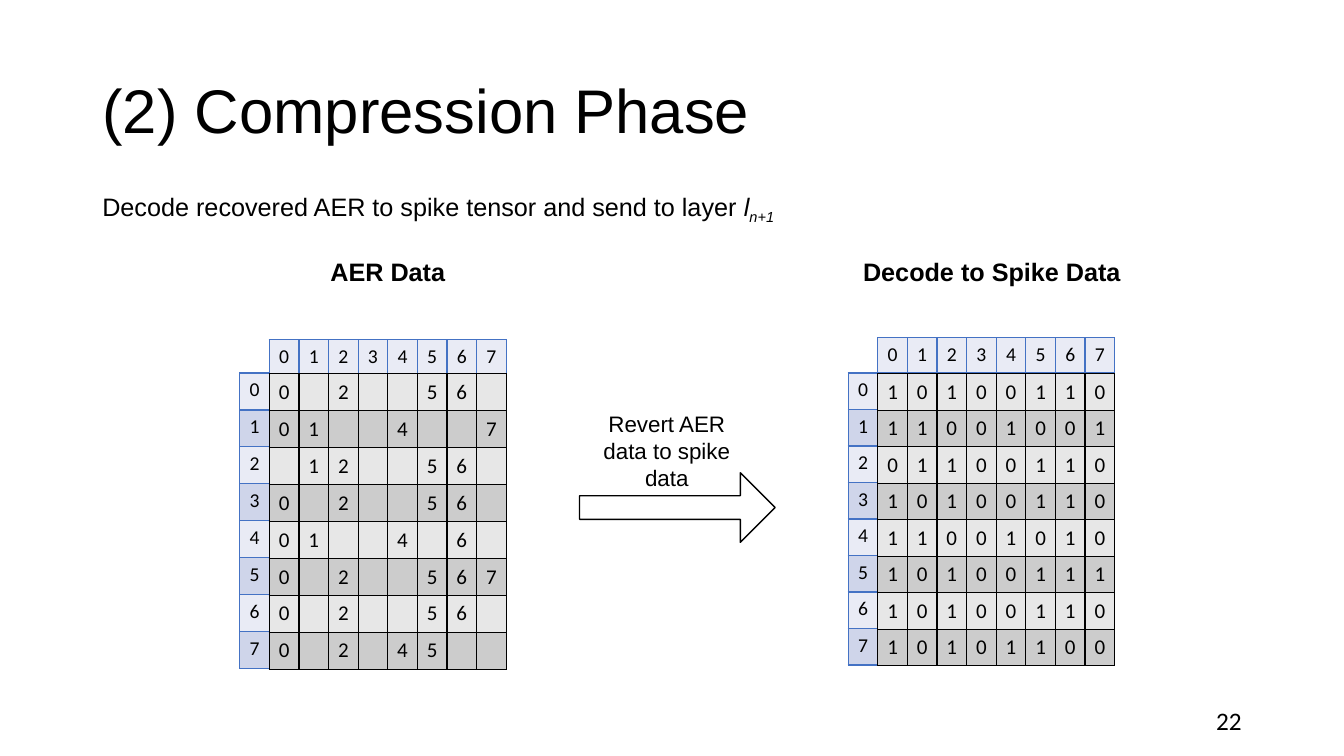
from lxml.etree import SubElement
from pptx import Presentation
from pptx.dml.color import RGBColor
from pptx.enum.shapes import MSO_SHAPE as Shape
from pptx.enum.text import MSO_ANCHOR as Anchor, MSO_AUTO_SIZE as AutoSize, PP_ALIGN as Align
from pptx.oxml.ns import qn
from pptx.util import Pt

BLACK, BLUE = "000000", "4472C4"
GREY_BANDS = ("E7E7E7", "CCCCCC")
BLUE_BANDS = ("E9EBF5", "CFD5EA")
COLUMN = 21.15
NEURONS = range(8)
# Indices of the neurons that spike, one tuple per row
EVENTS = [(0, 2, 5, 6), (0, 1, 4, 7), (1, 2, 5, 6), (0, 2, 5, 6),
          (0, 1, 4, 6), (0, 2, 5, 6, 7), (0, 2, 5, 6), (0, 2, 4, 5)]


def color(value):
    return RGBColor.from_string(value)


def apply(target, values):
    for name, value in values.items():
        setattr(target, name, value)


def add_run(paragraph, text, size, name="Arial", baseline=None, **values):
    run = paragraph.add_run()
    run.text = text
    apply(run.font, {"size": Pt(size), "name": name, **values})
    run.font.color.rgb = color(BLACK)
    if baseline:
        run.font._element.set("baseline", str(baseline))


def add_text(slide, box, text, size, align=Align.LEFT, wrap=False, anchor=Anchor.TOP, **values):
    """Add a text box with one run and return its paragraph."""
    frame = slide.shapes.add_textbox(*map(Pt, box)).text_frame
    apply(frame, {"word_wrap": wrap, "auto_size": AutoSize.SHAPE_TO_FIT_TEXT,
                  "vertical_anchor": anchor})
    paragraph = frame.paragraphs[0]
    paragraph.alignment = align
    add_run(paragraph, text, size, **values)
    return paragraph


def add_title(slide, text):
    title = slide.shapes.title
    apply(title, {"left": Pt(66), "top": Pt(28.75), "width": Pt(828), "height": Pt(104.4)})
    apply(title.text_frame, {"vertical_anchor": Anchor.MIDDLE, "auto_size": AutoSize.NONE})
    paragraph = title.text_frame.paragraphs[0]
    apply(paragraph, {"alignment": Align.LEFT, "line_spacing": 0.9})
    add_run(paragraph, text, 44)


def add_borders(cell, line_color):
    properties = cell._tc.get_or_add_tcPr()
    for side in ("lnL", "lnR", "lnT", "lnB"):
        line = SubElement(properties, qn(f"a:{side}"), w=str(Pt(1)))
        fill = SubElement(line, qn("a:solidFill"))
        SubElement(fill, qn("a:srgbClr"), val=line_color)


def add_grid(slide, left, top, row_height, rows, bands, line_color, size, **cell_values):
    """Add a table of narrow cells whose rows alternate between two fills."""
    count = len(rows[0])
    box = (left, top, COLUMN * count, row_height * len(rows))
    table = slide.shapes.add_table(len(rows), count, *map(Pt, box)).table
    apply(table, {"first_row": False, "horz_banding": False})
    for column in table.columns:
        column.width = Pt(COLUMN)
    for index, row in enumerate(rows):
        table.rows[index].height = Pt(row_height)
        for cell, text in zip(table.rows[index].cells, row):
            apply(cell, {"margin_left": 0, "margin_right": 0, "margin_bottom": 0, **cell_values})
            add_borders(cell, line_color)
            cell.fill.solid()
            cell.fill.fore_color.rgb = color(bands[index % 2])
            if text:
                paragraph = cell.text_frame.paragraphs[0]
                paragraph.alignment = Align.CENTER
                add_run(paragraph, text, size, "Calibri")


def add_matrix(slide, left, header_top, header_height, row_height, rows):
    """Add a grid of values with numbered columns above and numbered rows at the left."""
    labels = [str(number) for number in NEURONS]
    label_style = (BLUE_BANDS, BLUE, 14)
    add_grid(slide, left, header_top, header_height, [labels], *label_style)
    add_grid(slide, left - COLUMN, 266.4, row_height, [[label] for label in labels], *label_style)
    add_grid(slide, left, 266.9, row_height, rows, GREY_BANDS, BLACK, 15,
             margin_top=0, vertical_anchor=Anchor.MIDDLE)


def add_arrow(slide, box):
    arrow = slide.shapes.add_shape(Shape.RIGHT_ARROW, *map(Pt, box))
    arrow.adjustments[0] = 0.34
    arrow.shadow.inherit = False
    arrow.fill.background()
    arrow.line.color.rgb = color(BLACK)
    arrow.line.width = Pt(1)


def main():
    presentation = Presentation()
    apply(presentation, {"slide_width": Pt(960), "slide_height": Pt(540)})
    slide = presentation.slides.add_slide(presentation.slide_layouts[5])

    add_title(slide, "(2) Compression Phase")
    summary = add_text(slide, (66, 133.2, 502, 29),
                       "Decode recovered AER to spike tensor and send to layer ", 18)
    add_run(summary, "l", 18, italic=True)
    add_run(summary, "n+1", 18, italic=True, baseline=-25000)

    for heading, left, width in (("AER Data", 228.5, 97), ("Decode to Spike Data", 608.5, 200)):
        add_text(slide, (left, 179.3, width, 29), heading, 18, Align.CENTER, bold=True)

    add_arrow(slide, (414, 337.7, 139.7, 49.7))
    add_text(slide, (414, 289.4, 124.6, 65.5), "Revert AER data to spike data", 16,
             Align.CENTER, wrap=True)

    addresses = [[str(n) if n in row else "" for n in NEURONS] for row in EVENTS]
    spikes = [[str(int(n in row)) for n in NEURONS] for row in EVENTS]
    add_matrix(slide, 192.4, 242.6, 24.3, 26.4, addresses)
    add_matrix(slide, 627, 241.2, 25.2, 26.1, spikes)

    add_text(slide, (678, 500.5, 216, 28.8), "22", 18, Align.RIGHT, wrap=True,
             anchor=Anchor.MIDDLE, name="Calibri")
    presentation.save("out.pptx")


if __name__ == "__main__":
    main()
